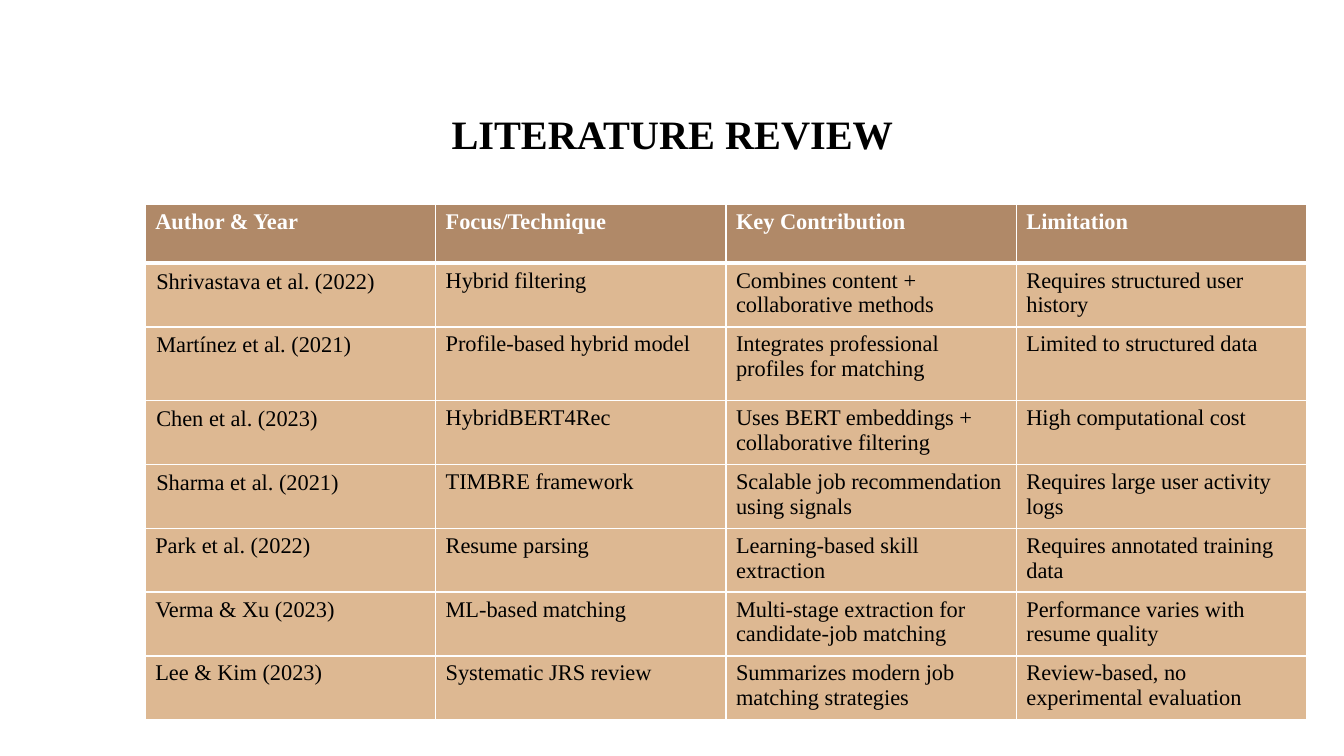
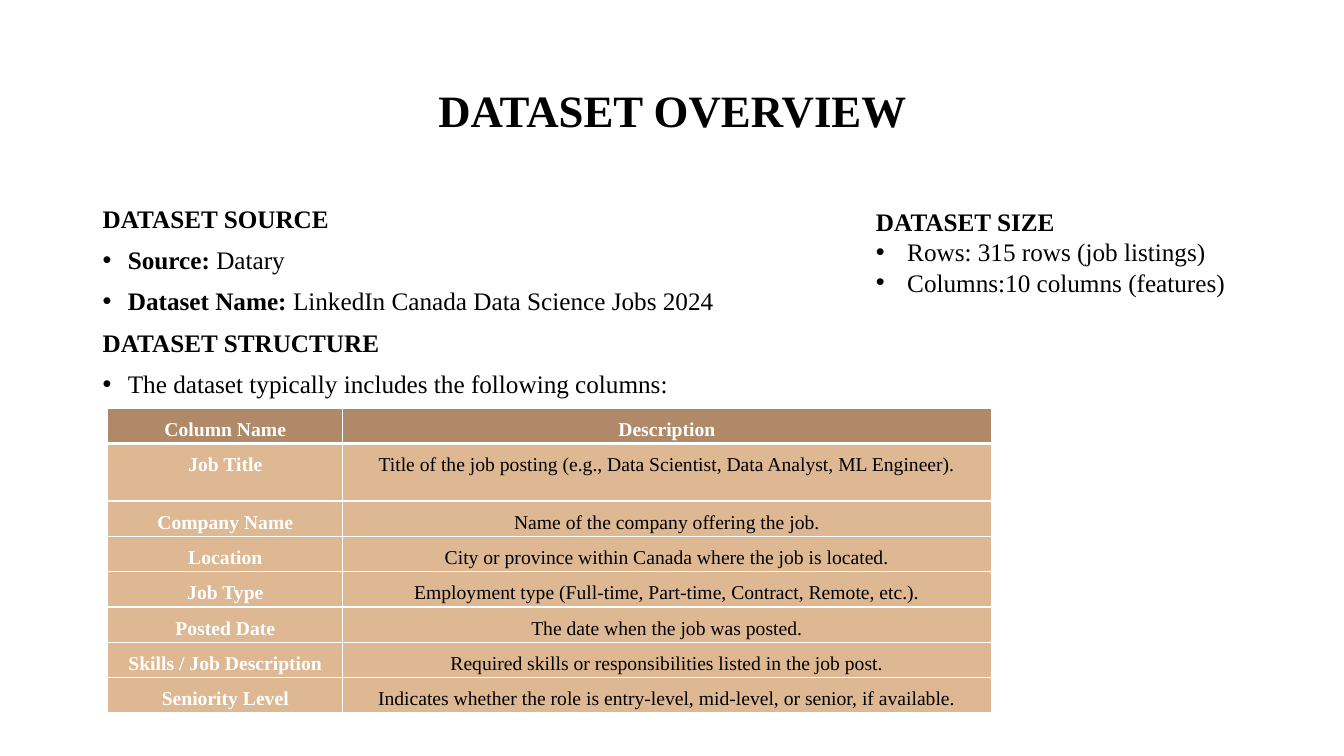
import dataclasses

import lxml.etree
import pptx
import pptx.dml.color
import pptx.enum.text
import pptx.oxml.ns
import pptx.util

Inches = pptx.util.Inches
Pt = pptx.util.Pt
Align = pptx.enum.text.PP_ALIGN
Anchor = pptx.enum.text.MSO_ANCHOR
qn = pptx.oxml.ns.qn


@dataclasses.dataclass(frozen=True)
class Theme:
    font: str = "Times New Roman"
    ink: str = "000000"
    paper: str = "FFFFFF"
    head: str = "B08968"
    body: str = "DDB892"
    text: float = 18
    large: float = 16
    small: float = 14
    thin: float = 1
    thick: float = 3


@dataclasses.dataclass(frozen=True)
class Style:
    size: float
    align: Align = Align.LEFT
    pad: tuple = (0.1, 0.05)
    gap: float = 1
    after: float = 0
    label: bool = False


class Deck:
    def __init__(self, theme):
        self.theme = theme
        self.file = pptx.Presentation()
        self.file.slide_width = Inches(13.33)
        self.file.slide_height = Inches(7.5)
        self.slide = None

    def page(self, title, top, size):
        self.slide = self.file.slides.add_slide(self.file.slide_layouts[6])
        frame = self.frame(0.92, top, 11.5, 1.45)
        frame.vertical_anchor = Anchor.MIDDLE
        frame.text = title
        para = frame.paragraphs[0]
        para.alignment = Align.CENTER
        para.line_spacing = 0.9
        self.ink(para.runs[0], size, bold=True)

    def frame(self, left, top, width, height):
        box = self.slide.shapes.add_textbox(
            Inches(left), Inches(top), Inches(width), Inches(height))
        box.text_frame.word_wrap = True
        return box.text_frame

    def ink(self, run, size, bold=False, color=None):
        run.font.name = self.theme.font
        run.font.size = Pt(size)
        run.font.bold = bold
        run.font.color.rgb = pptx.dml.color.RGBColor.from_string(
            color or self.theme.ink)

    def bullet(self, para, indent):
        props = para._p.get_or_add_pPr()
        props.set("marL", str(Inches(indent)))
        props.set("indent", str(-Inches(indent)))
        lxml.etree.SubElement(props, qn("a:buFont")).set("typeface", "Arial")
        lxml.etree.SubElement(props, qn("a:buChar")).set("char", "•")

    def notes(self, place, lines, indent, gap=1, before=0, lead=None):
        frame = self.frame(*place)
        for i, (bold, plain) in enumerate(lines):
            para = frame.add_paragraph() if i else frame.paragraphs[0]
            if plain:
                self.bullet(para, indent)
            para.line_spacing = gap if i else lead or gap
            if i:
                para.space_before = Pt(before)
            for words, heavy in ((bold, True), (plain, False)):
                if words:
                    run = para.add_run()
                    run.text = words
                    self.ink(run, self.theme.text, heavy)

    def edges(self, cell, row):
        props = cell._tc.get_or_add_tcPr()
        thick = {(0, "B"), (1, "T")}
        for i, side in enumerate("LRTB"):
            width = self.theme.thick if (row, side) in thick else self.theme.thin
            line = lxml.etree.Element(qn(f"a:ln{side}"), w=str(Pt(width)))
            fill = lxml.etree.SubElement(line, qn("a:solidFill"))
            lxml.etree.SubElement(fill, qn("a:srgbClr")).set(
                "val", self.theme.paper)
            props.insert(i, line)

    def cell(self, cell, words, row, col, style):
        head = row == 0
        light = head or (style.label and col == 0)
        cell.fill.solid()
        cell.fill.fore_color.rgb = pptx.dml.color.RGBColor.from_string(
            self.theme.head if head else self.theme.body)
        self.edges(cell, row)
        self.pad(cell, *style.pad)
        cell.text_frame.text = words
        para = cell.text_frame.paragraphs[0]
        para.alignment = style.align
        para.line_spacing = style.gap
        para.space_after = Pt(style.after)
        self.ink(para.runs[0], style.size, light,
                 self.theme.paper if light else self.theme.ink)

    def pad(self, cell, side, end):
        cell.margin_left = cell.margin_right = Inches(side)
        cell.margin_top = cell.margin_bottom = Inches(end)

    def table(self, left, top, widths, heights, rows, style):
        grid = self.slide.shapes.add_table(
            len(rows), len(widths), Inches(left), Inches(top),
            Inches(sum(widths)), Inches(sum(heights))).table
        for col, width in zip(grid.columns, widths):
            col.width = Inches(width)
        for row, height in zip(grid.rows, heights):
            row.height = Inches(height)
        for r, row in enumerate(rows):
            for c, words in enumerate(row):
                self.cell(grid.cell(r, c), words, r, c, style)
        return grid


PAPERS = [
    ("Author & Year", "Focus/Technique", "Key Contribution", "Limitation"),
    ("Shrivastava et al. (2022)", "Hybrid filtering",
     "Combines content + collaborative methods",
     "Requires structured user history"),
    ("Martínez et al. (2021)", "Profile-based hybrid model",
     "Integrates professional profiles for matching",
     "Limited to structured data"),
    ("Chen et al. (2023)", "HybridBERT4Rec",
     "Uses BERT embeddings + collaborative filtering",
     "High computational cost"),
    ("Sharma et al. (2021)", "TIMBRE framework",
     "Scalable job recommendation using signals",
     "Requires large user activity logs"),
    ("Park et al. (2022)", "Resume parsing",
     "Learning-based skill extraction",
     "Requires annotated training data"),
    ("Verma & Xu (2023)", "ML-based matching",
     "Multi-stage extraction for candidate-job matching",
     "Performance varies with resume quality"),
    ("Lee & Kim (2023)", "Systematic JRS review",
     "Summarizes modern job matching strategies",
     "Review-based, no experimental evaluation"),
]

FIELDS = [
    ("Column Name", "Description"),
    ("Job Title",
     "Title of the job posting (e.g., Data Scientist, Data Analyst, ML Engineer)."),
    ("Company Name", "Name of the company offering the job."),
    ("Location", "City or province within Canada where the job is located."),
    ("Job Type",
     "Employment type (Full-time, Part-time, Contract, Remote, etc.)."),
    ("Posted Date", "The date when the job was posted."),
    ("Skills / Job Description",
     "Required skills or responsibilities listed in the job post."),
    ("Seniority Level",
     "Indicates whether the role is entry-level, mid-level, or senior, if available."),
]

SOURCE = [
    ("DATASET SOURCE", ""),
    ("Source:", " Datary"),
    ("Dataset Name:", " LinkedIn Canada Data Science Jobs 2024"),
    ("DATASET STRUCTURE", ""),
    ("", "The dataset typically includes the following columns:"),
]

EXTENT = [
    ("DATASET SIZE", ""),
    ("", "Rows: 315 rows (job listings)"),
    ("", "Columns:10 columns (features)"),
]


def review(deck):
    deck.page("LITERATURE REVIEW", 0.63, 28.8)
    grid = deck.table(1.44, 2.03, [2.88] * 4, [0.58, 0.59, 0.73] + [0.59] * 5,
                      PAPERS, Style(deck.theme.large))
    for row in range(1, 5):
        cell = grid.cell(row, 0)
        deck.pad(cell, 0.11, 0.06)
        cell.text_frame.paragraphs[0].space_after = Pt(6)


def data(deck):
    deck.page("DATASET OVERVIEW", 0.4, 32)
    deck.notes((0.92, 2, 7.5, 2), SOURCE, 0.25, gap=0.9, before=10)
    deck.table(1.07, 4.05, [2.33, 6.43], [0.35, 0.57] + [0.35] * 6, FIELDS,
               Style(deck.theme.small, Align.CENTER, (0.07, 0), 1.5, 8, True))
    deck.notes((8.59, 1.85, 4.5, 1.46), EXTENT, 0.31, lead=1.5)


def main():
    deck = Deck(Theme())
    review(deck)
    data(deck)
    deck.file.save("out.pptx")


if __name__ == "__main__":
    main()
